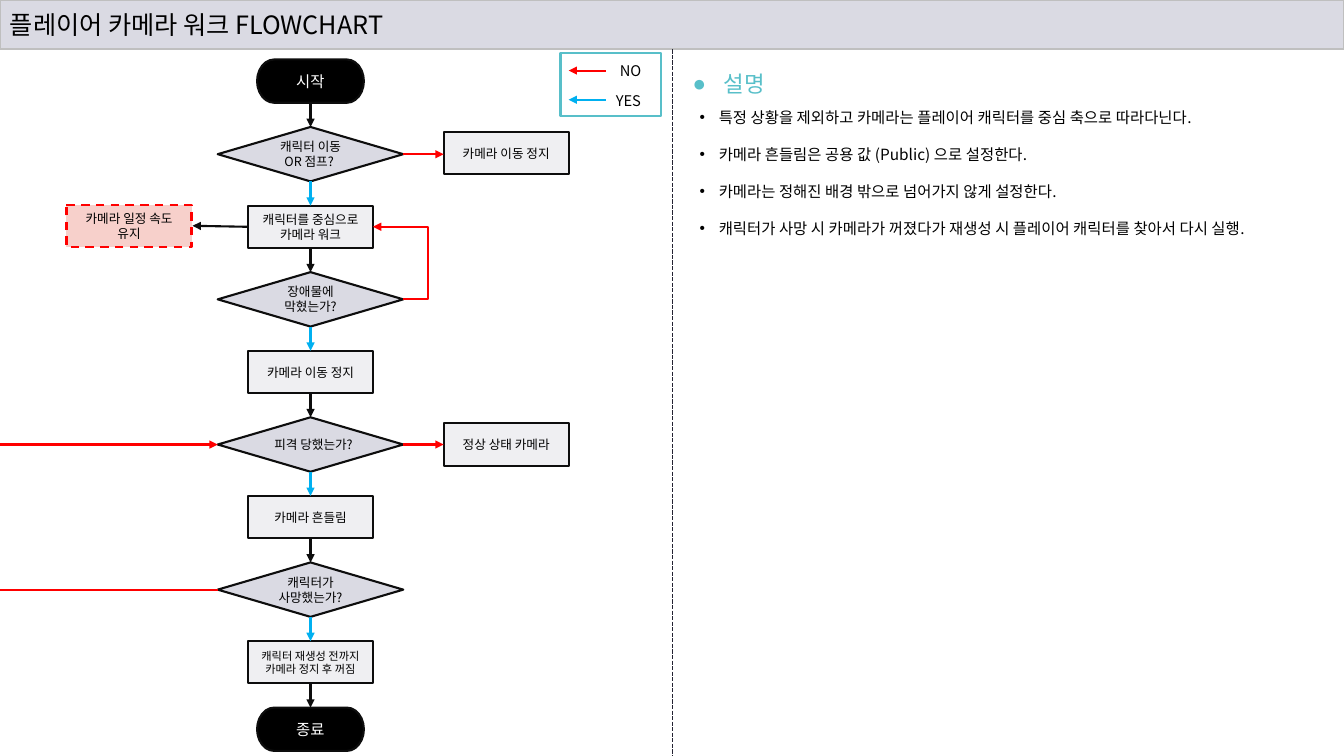
import pptx
import pptx.util
import pptx.dml.color
import pptx.enum.dml
import pptx.enum.shapes
import pptx.enum.text
import pptx.oxml
import pptx.oxml.ns
import lxml.etree

Inches, Pt = pptx.util.Inches, pptx.util.Pt
SHAPE = pptx.enum.shapes.MSO_SHAPE
LINK = pptx.enum.shapes.MSO_CONNECTOR
DASH = pptx.enum.dml.MSO_LINE
ALIGN = pptx.enum.text.PP_ALIGN
qn = pptx.oxml.ns.qn
sub = lxml.etree.SubElement
FONT = "Noto Sans CJK KR"
BLACK, RED, BLUE, TEAL = "0D0D0D", "FF0000", "00B0F0", "58BFC9"
LILAC, PALE = "DADAE3", "EFEFF2"
CENTER = 3.08   # axis of the main flow
CYCLE = 1.44    # one decision plus one process
GAP = 0.24      # length of the arrows down the flow

prs = pptx.Presentation()
prs.slide_width, prs.slide_height = Inches(13.33), Inches(7.5)
s = prs.slides.add_slide(prs.slide_layouts[6])


def rgb(color):
    """Turn a hex string into a colour."""
    return pptx.dml.color.RGBColor.from_string(color)


def write(p, text, size, color="000000", bullet=None, indent=0):
    """Add a run to a paragraph, with a hanging bullet if one is given."""
    r = p.add_run()
    r.text = text
    r.font.size, r.font.name = Pt(size), FONT
    r.font.color.rgb = rgb(color)
    sub(r._r.get_or_add_rPr(), qn("a:ea"), typeface=FONT)
    if bullet:
        pPr = p._p.get_or_add_pPr()
        pPr.set("marL", str(Inches(indent)))
        pPr.set("indent", str(-Inches(indent)))
        sub(pPr, qn("a:buFont"), typeface="Arial")
        sub(pPr, qn("a:buChar"), char=bullet)


# Boxes: shape, left, top, width, height, fill, line, text, size, text colour
boxes = [(SHAPE.RECTANGLE, 0, 0, 13.33, 0.49, LILAC, "BFBFBF",
          "플레이어 카메라 워크 FLOWCHART", 18, "000000")]
for top, text in [(0.59, "시작"), (7.02, "종료")]:
    boxes.append((SHAPE.FLOWCHART_TERMINATOR, CENTER - 0.53, top, 1.06, 0.43,
                  "000000", BLACK, text, 11, "FFFFFF"))
decisions = ["캐릭터 이동 OR 점프? ", "장애물에 막혔는가?", "피격 당했는가?",
             "캐릭터가 사망했는가?"]
for i, text in enumerate(decisions):
    boxes.append((SHAPE.FLOWCHART_DECISION, CENTER - 0.92, 1.26 + i * CYCLE, 1.84, 0.54,
                  LILAC, BLACK, text, 9, "000000"))
processes = [("캐릭터를 중심으로 카메라 워크", 9), ("카메라 이동 정지", 9),
             ("카메라 흔들림", 9), ("캐릭터 재생성 전까지 카메라 정지 후 꺼짐", 8)]
steps = [(CENTER - 0.62, 2.04 + i * CYCLE, PALE, BLACK, text, size)
         for i, (text, size) in enumerate(processes)]
steps += [(4.4, 1.31, PALE, BLACK, "카메라 이동 정지", 9),
          (4.4, 4.2, PALE, BLACK, "정상 상태 카메라", 9),
          (0.66, 2.03, "F7D0CB", RED, "카메라 일정 속도 유지", 9)]
for left, top, fill, line, text, size in steps:
    boxes.append((SHAPE.FLOWCHART_PROCESS, left, top, 1.24, 0.42,
                  fill, line, text, size, "000000"))
boxes.append((SHAPE.RECTANGLE, 5.56, 0.53, 1, 0.62, None, TEAL, "", 9, "000000"))

# Lines: from x, from y, to x, to y, colour, arrowhead
divider = (6.67, 0.49, 6.67, 7.5, "242333", False)
lines = [divider]
for first, count, color in [(1.02, 5, BLACK), (1.8, 4, BLUE)]:
    for i in range(count):
        y = first + i * CYCLE
        lines.append((CENTER, y, CENTER, y + GAP, color, True))
for y in (1.53, 4.41):
    lines.append((4, y, 4.4, y, RED, True))
loop_back = (4, 2.97, 3.7, 2.25, RED, True)
lines += [
    loop_back,
    (2.46, 2.25, 1.91, 2.24, BLACK, True),
    (2.16, 5.85, 0, 5.85, RED, False),
    (0, 4.41, 2.16, 4.41, RED, True),
    (6.01, 0.7, 5.64, 0.7, RED, True),
    (6.01, 0.99, 5.64, 0.99, BLUE, True),
]

for kind, left, top, width, height, fill, line, text, size, color in boxes:
    sp = s.shapes.add_shape(kind, Inches(left), Inches(top), Inches(width), Inches(height))
    sp.shadow.inherit = False
    if fill:
        sp.fill.solid()
        sp.fill.fore_color.rgb = rgb(fill)
    else:
        sp.fill.background()
    sp.line.color.rgb, sp.line.width = rgb(line), Pt(1.5)
    if line == RED:
        sp.line.dash_style = DASH.DASH
    if text:
        tf = sp.text_frame
        tf.word_wrap = True
        tf.vertical_anchor = pptx.enum.text.MSO_ANCHOR.MIDDLE
        p = tf.paragraphs[0]
        p.alignment = ALIGN.LEFT if size == 18 else ALIGN.CENTER
        write(p, text, size, color)

for item in lines:
    x1, y1, x2, y2, color, arrow = item
    kind = LINK.ELBOW if item is loop_back else LINK.STRAIGHT
    cx = s.shapes.add_connector(kind, Inches(x1), Inches(y1), Inches(x2), Inches(y2))
    cx.line.color.rgb = rgb(color)
    cx.line.width = Pt(1 if item is divider else 1.5)
    if item is divider:
        cx.line.dash_style = DASH.SQUARE_DOT
    if arrow:
        sub(cx.line._get_or_add_ln(), qn("a:tailEnd"), type="triangle")
    if item is loop_back:
        guides = cx._element.spPr.find(qn("a:prstGeom")).find(qn("a:avLst"))
        sub(guides, qn("a:gd"), name="adj1", fmla="val -83300")
    sub(cx._element.spPr, qn("a:effectLst"))

# Text boxes: left, top, width, height, paragraphs, size, colour, bullet, indent
notes = ["특정 상황을 제외하고 카메라는 플레이어 캐릭터를 중심 축으로 따라다닌다.",
         "카메라 흔들림은 공용 값 (Public) 으로 설정한다.",
         "카메라는 정해진 배경 밖으로 넘어가지 않게 설정한다.",
         "캐릭터가 사망 시 카메라가 꺼졌다가 재생성 시 플레이어 캐릭터를 찾아서 다시 실행."]
texts = [
    (6.05, 0.56, 0.69, 0.29, ["NO"], 10.5, "000000", None, 0),
    (6.01, 0.86, 0.69, 0.29, ["YES"], 10.5, "000000", None, 0),
    (6.77, 0.65, 1.85, 0.37, ["설명"], 16, TEAL, "●", 0.31),
    (6.84, 1.02, 6.02, 1.4, notes, 11, "000000", "•", 0.19),
]
for left, top, width, height, paragraphs, size, color, bullet, indent in texts:
    tb = s.shapes.add_textbox(Inches(left), Inches(top), Inches(width), Inches(height))
    tf = tb.text_frame
    tf.word_wrap = True
    for i, text in enumerate(paragraphs):
        p = tf.add_paragraph() if i else tf.paragraphs[0]
        if i:
            p.space_before = Pt(13.2)
        write(p, text, size, color, bullet, indent)

prs.save("out.pptx")
